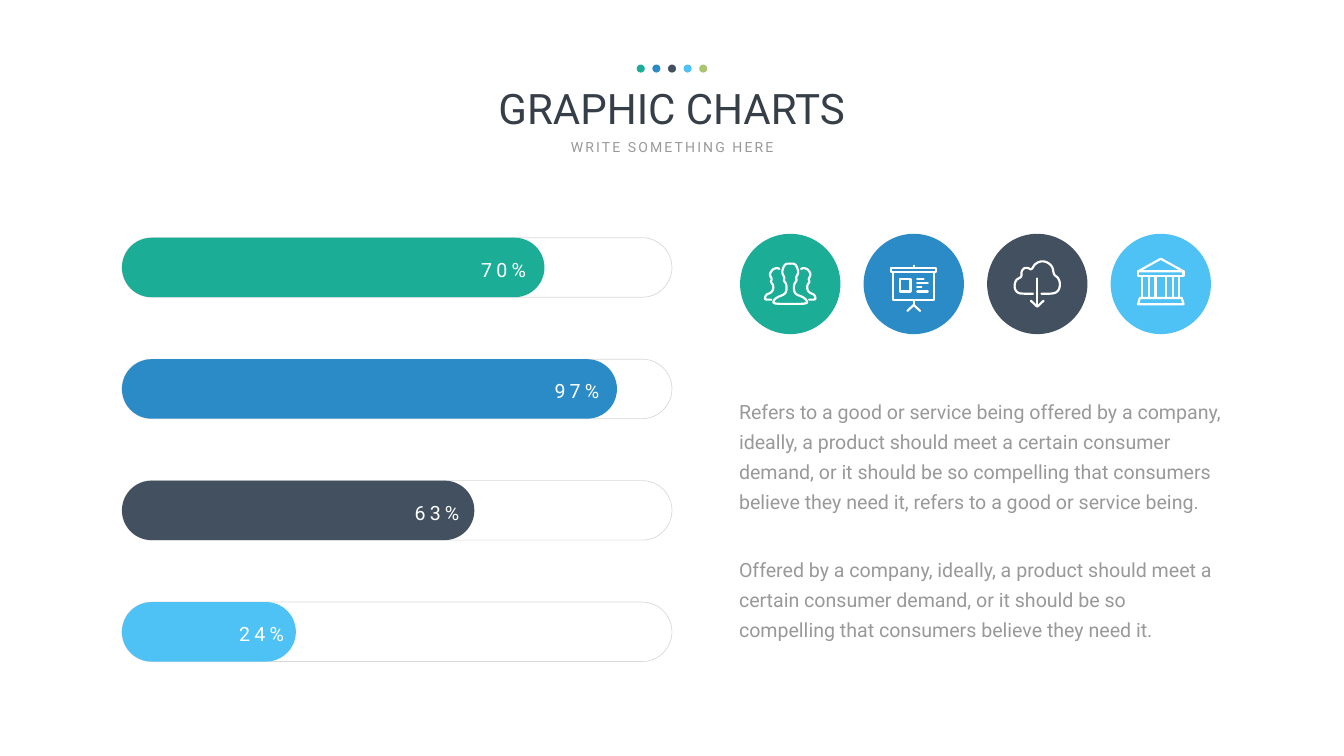
"""Build a slide with four progress bars, four round icons and a text block."""
from dataclasses import dataclass
from typing import Any, Optional

from lxml import etree
from pptx import Presentation
from pptx import util as u
from pptx.dml import color
from pptx.enum import shapes, text
from pptx.oxml.ns import qn

Point = tuple[float, float]
FONT = "Roboto"
GREEN, BLUE, SLATE, SKY, OLIVE = "1CAD97", "2B8BC7", "425060", "4EC2F4", "AAC46F"
WHITE, GREY, RULE, INK = "FFFFFF", "999999", "D9D9D9", "363E48"
BAR_LEFT, BAR_TOP, BAR_STEP, BAR_HIGH, TRACK = 174.2, 339.6, 173.5, 85, 785.5
LABEL_WIDE, LABEL_DROP = 110, 24.9
DISC_LEFT, DISC_TOP, DISC_STEP, DISC = 1057, 334, 176.4, 143.3
DOT_LEFT, DOT_TOP, DOT_STEP, DOT = 909.4, 92.2, 22.3, 11.5


@dataclass
class Bar:
    label: str
    width: float
    edge: float
    tint: str


@dataclass
class Stroke:
    points: list[Point]
    closed: bool = False
    curved: bool = False


@dataclass
class Icon:
    tint: str
    strokes: list[Stroke]


@dataclass
class Style:
    size: float
    tint: str
    align: Any
    track: int = 0


def rgb(code: str) -> color.RGBColor:
    return color.RGBColor.from_string(code)


def flip(points: list[Point]) -> list[Point]:
    return [(-x, y) for x, y in points]


def block(left: float, top: float, right: float, low: float) -> Stroke:
    return Stroke([(left, top), (right, top), (right, low), (left, low)], closed=True)


def line(x1: float, y1: float, x2: float, y2: float) -> Stroke:
    return Stroke([(x1, y1), (x2, y2)])


def smooth(points: list[Point], rounds: int = 3) -> list[Point]:
    for _ in range(rounds):
        cut = [points[0]]
        for (ax, ay), (bx, by) in zip(points, points[1:]):
            cut += [(0.75 * ax + 0.25 * bx, 0.75 * ay + 0.25 * by),
                    (0.25 * ax + 0.75 * bx, 0.25 * ay + 0.75 * by)]
        points = cut + [points[-1]]
    return points


def add_shape(tree: Any, kind: Any, left: float, top: float, width: float, height: float,
              fill: Optional[str] = None, rule: Optional[str] = None) -> Any:
    shape = tree.add_shape(kind, u.Pt(left), u.Pt(top), u.Pt(width), u.Pt(height))
    shape.shadow.inherit = False
    if fill:
        shape.fill.solid()
        shape.fill.fore_color.rgb = rgb(fill)
    else:
        shape.fill.background()
    if rule:
        shape.line.color.rgb = rgb(rule)
        shape.line.width = u.Pt(1)
    else:
        shape.line.fill.background()
    return shape


def add_text(tree: Any, words: str, left: float, top: float, width: float, height: float,
             style: Style) -> Any:
    frame = tree.add_textbox(u.Pt(left), u.Pt(top), u.Pt(width), u.Pt(height)).text_frame
    frame.word_wrap = True
    frame.text = words
    for para in frame.paragraphs:
        para.alignment = style.align
        for run in para.runs:
            run.font.name = FONT
            run.font.size = u.Pt(style.size)
            run.font.color.rgb = rgb(style.tint)
            if style.track:
                run.font._element.set("spc", str(style.track * 100))
    return frame


def add_bar(tree: Any, bar: Bar, top: float) -> None:
    for width, fill, rule in ((TRACK, None, RULE), (bar.width, bar.tint, None)):
        pill = add_shape(tree, shapes.MSO_SHAPE.ROUNDED_RECTANGLE,
                         BAR_LEFT, top, width, BAR_HIGH, fill, rule)
        pill.adjustments[0] = 0.5
    add_text(tree, bar.label, bar.edge - LABEL_WIDE, top + LABEL_DROP, LABEL_WIDE, 41,
             Style(28, WHITE, text.PP_ALIGN.RIGHT, 6))


def add_icon(tree: Any, icon: Icon, left: float) -> None:
    add_shape(tree, shapes.MSO_SHAPE.OVAL, left, DISC_TOP, DISC, DISC, icon.tint)
    mid_x, mid_y = left + DISC / 2, DISC_TOP + DISC / 2
    pen = None
    for stroke in icon.strokes:
        points = smooth(stroke.points) if stroke.curved else stroke.points
        spots = [(u.Pt(mid_x + x), u.Pt(mid_y + y)) for x, y in points]
        if pen is None:
            pen = tree.build_freeform(*spots[0])
        else:
            pen.move_to(*spots[0])
        pen.add_line_segments(spots[1:], close=stroke.closed)
    shape = pen.convert_to_shape()
    shape.shadow.inherit = False
    shape.fill.background()
    shape.line.color.rgb = rgb(WHITE)
    shape.line.width = u.Pt(3.1)
    edge = shape._element.spPr.find(qn("a:ln"))
    edge.set("cap", "rnd")
    etree.SubElement(edge, qn("a:round"))


BARS = [Bar("70%", 603.4, 758.2, GREEN), Bar("97%", 707, 863, BLUE),
        Bar("63%", 503.3, 663.1, SLATE), Bar("24%", 248.4, 412.6, SKY)]

HEAD = [(0, -29), (7, -29), (11, -21), (11.5, -15), (8, -9), (9.5, -5), (5.5, 0), (5, 9),
        (8, 15), (19, 19), (24, 24), (24, 28.5), (0, 28.5)]
SIDE = [(15.5, -21.5), (19, -23), (25, -21), (29, -15), (28.5, -11), (26, -7), (28, -3),
        (24.5, 1), (24, 7), (27, 12.5), (34, 15), (36, 19), (36, 22.5), (27, 22.5)]
CLOUD = [(-6, 14), (-20, 14), (-28, 13), (-33, 6), (-31, -6), (-22, -10), (-23, -17),
         (-19, -23), (-13, -23), (-8, -20), (-4, -28), (4, -32.5), (13, -32), (22, -25),
         (23.5, -13), (30, -9), (33, 0), (30.5, 10), (23, 14), (6, 14)]

ICONS = [
    Icon(GREEN, [Stroke(path, curved=True)
                 for path in (HEAD, flip(HEAD), SIDE, flip(SIDE))]),
    Icon(BLUE, [block(-32, -23, 32, -17), block(-29.2, -17, 29.2, 23),
                block(-20, -7.5, -4.7, 10.8), line(0, -26, 0, -23), line(0, 23, 0, 30),
                Stroke([(-9, 38.5), (0, 30), (9, 38.5)])]
         + [line(5, -7.5 + 6.1 * row, end, -7.5 + 6.1 * row)
            for row, end in enumerate((14, 20, 11, 20))]),
    Icon(SLATE, [Stroke(CLOUD, curved=True), line(0, -8, 0, 32),
                 Stroke([(-9, 24), (0, 32.5), (9, 24)])]),
    Icon(SKY, [Stroke([(-32.5, -18), (0, -36), (32.5, -18)], closed=True),
               block(-32.5, -18, 32.5, -11),
               Stroke([(-30, 20), (30, 20), (32.5, 29), (-32.5, 29)], closed=True)]
         + [line(x, -11, x, 20) for x in (-26.3, -16.9, -7.5, 7.5, 16.9, 26.3)]),
]

BODY = (
    "Refers to a good or service being offered by a company, ideally, a product should meet "
    "a certain consumer demand, or it should be so compelling that consumers believe they "
    "need it, refers to a good or service being.\n"
    "Offered by a company, ideally, a product should meet a certain consumer demand, or it "
    "should be so compelling that consumers believe they need it.")


def main() -> None:
    deck = Presentation()
    deck.slide_width, deck.slide_height = u.Pt(1919.5), u.Pt(1080)
    tree = deck.slides.add_slide(deck.slide_layouts[6]).shapes
    mid = text.PP_ALIGN.CENTER
    add_text(tree, "GRAPHIC CHARTS", 554.4, 114.5, 810, 80, Style(60, INK, mid))
    add_text(tree, "WRITE SOMETHING HERE", 760, 194.4, 400, 31.7, Style(20, GREY, mid, 3))
    dots = tree.add_group_shape().shapes
    for col, tint in enumerate((GREEN, BLUE, SLATE, SKY, OLIVE)):
        add_shape(dots, shapes.MSO_SHAPE.OVAL, DOT_LEFT + col * DOT_STEP, DOT_TOP,
                  DOT, DOT, tint)
    for row, bar in enumerate(BARS):
        add_bar(tree, bar, BAR_TOP + row * BAR_STEP)
    for col, icon in enumerate(ICONS):
        add_icon(tree, icon, DISC_LEFT + col * DISC_STEP)
    frame = add_text(tree, BODY, 1038.2, 553, 726.5, 374.4,
                     Style(28, GREY, text.PP_ALIGN.LEFT))
    frame.margin_left = frame.margin_right = u.Pt(17.3)
    frame.margin_top = frame.margin_bottom = u.Pt(8.6)
    for para in frame.paragraphs:
        para.line_spacing = u.Pt(43)
    frame.paragraphs[1].space_before = u.Pt(54)
    deck.save("out.pptx")


if __name__ == "__main__":
    main()
